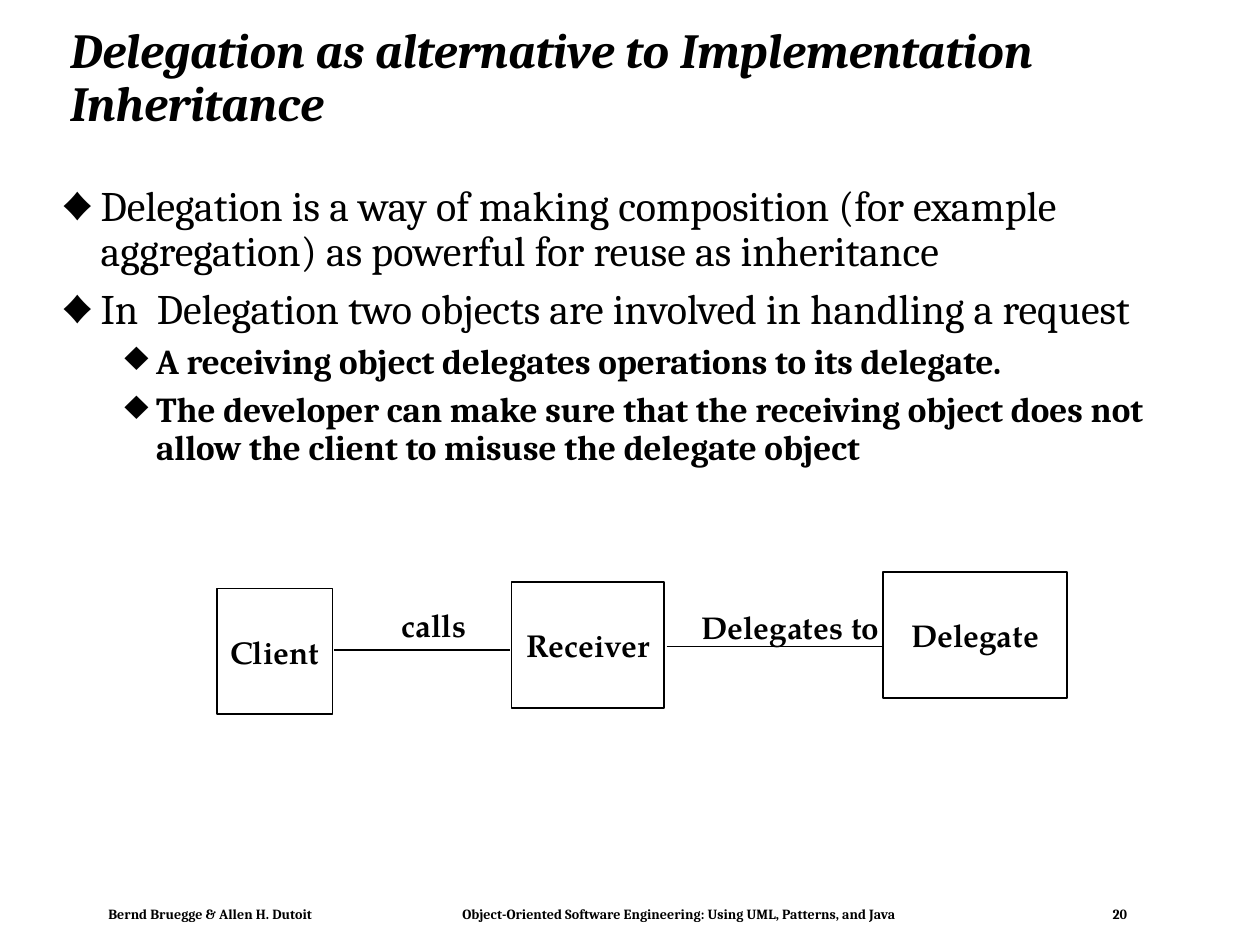
from lxml import etree
from pptx import Presentation
from pptx.dml.color import RGBColor
from pptx.enum import shapes, text
from pptx.oxml import ns
from pptx import util as u

BLACK = RGBColor(0, 0, 0)
WHITE = RGBColor(255, 255, 255)
SERIF = "Cambria"
DIAGRAM_FONT = "TeX Gyre Pagella"

presentation = Presentation()
presentation.slide_width = u.Inches(10)
presentation.slide_height = u.Inches(7.5)
slide = presentation.slides.add_slide(presentation.slide_layouts[6])


def place(*shares):
    """Turn percentages of the slide (x, y, x, y) into lengths."""
    sizes = (presentation.slide_width, presentation.slide_height)
    return [u.Emu(round(sizes[i % 2] * share / 100)) for i, share in enumerate(shares)]


def write(shape, lines, font, frame=None, paragraph_format=None):
    """Fill a shape with paragraphs and return them."""
    text_frame = shape.text_frame
    for name, value in (frame or {}).items():
        setattr(text_frame, name, value)
    text_frame.text = "\n".join(lines)
    for paragraph in text_frame.paragraphs:
        for name, value in (paragraph_format or {}).items():
            setattr(paragraph, name, value)
        for run in paragraph.runs:
            run.font.color.rgb = BLACK
            for name, value in font.items():
                setattr(run.font, name, value)
    return text_frame.paragraphs


# Footer: three entries held apart by tab stops
footer = slide.shapes.add_textbox(*place(7.8, 95.33, 82.7, 2.8))
footer_line = write(
    footer,
    ["Bernd Bruegge & Allen H. Dutoit\t"
     "Object-Oriented Software Engineering: Using UML, Patterns, and Java\t20"],
    {"name": SERIF, "size": u.Pt(8), "bold": True},
    {"word_wrap": True,
     "margin_left": u.Inches(0.08), "margin_right": u.Inches(0.08),
     "margin_top": u.Inches(0.04), "margin_bottom": u.Inches(0.04)},
)[0]
tab_list = etree.SubElement(footer_line._p.get_or_add_pPr(), ns.qn("a:tabLst"))
for stop in (28.1, 79.7):
    etree.SubElement(tab_list, ns.qn("a:tab"), pos=str(place(stop)[0]), algn="l")

# Diagram: objects, associations and their labels
diagram_font = {"name": DIAGRAM_FONT, "size": u.Pt(18), "bold": True}
for name, left, top, width in (
    ("Client", 17.2, 62.27, 9.2),
    ("Receiver", 40.6, 61.6, 12.1),
    ("Delegate", 70.1, 60.53, 14.6),
):
    box = slide.shapes.add_shape(
        shapes.MSO_SHAPE.RECTANGLE, *place(left, top, width, 13.33))
    box.shadow.inherit = False
    box.fill.solid()
    box.fill.fore_color.rgb = WHITE
    box.line.color.rgb = BLACK
    box.line.width = u.Pt(1)
    write(box, [name], diagram_font,
          {"word_wrap": False, "vertical_anchor": text.MSO_ANCHOR.MIDDLE},
          {"alignment": text.PP_ALIGN.CENTER})

for start, end, level in ((26.5, 40.5, 68.8), (52.9, 70.2, 68.4)):
    association = slide.shapes.add_connector(
        shapes.MSO_CONNECTOR.STRAIGHT, *place(start, level, end, level))
    association.line.color.rgb = BLACK
    association.line.width = u.Pt(1)
    etree.SubElement(association._element.spPr, ns.qn("a:effectLst"))

for label, left, top, width in (
    ("Delegates to ", 54.7, 63.73, 16.7),
    ("calls", 30.9, 63.47, 7.2),
):
    label_box = slide.shapes.add_textbox(*place(left, top, width, 5.33))
    write(label_box, [label], diagram_font, {"word_wrap": False})

# Title
title = slide.shapes.add_textbox(*place(4.6, 3.2, 89.2, 10.27))
write(title, ["Delegation as alternative to Implementation Inheritance"],
      {"name": SERIF, "size": u.Pt(28), "bold": True, "italic": True},
      {"word_wrap": True, "vertical_anchor": text.MSO_ANCHOR.MIDDLE},
      {"line_spacing": 0.9})

# Body: two bullet levels, told apart by the size of the diamond
levels = (
    {"size": 24, "bold": False, "font": SERIF, "scale": 75, "indent": 3.1, "hang": 3.1},
    {"size": 20, "bold": True, "font": None, "scale": 120, "indent": 7.5, "hang": 2.5},
)
points = (
    (0, "Delegation is a way of making composition (for example aggregation) "
        "as powerful for reuse as inheritance"),
    (0, "In  Delegation two objects are involved in handling a request"),
    (1, "A receiving object delegates operations to its delegate. "),
    (1, "The developer can make sure that the receiving object does not allow "
        "the client to misuse the delegate object"),
)
body = slide.shapes.add_textbox(*place(3.9, 18.93, 90.3, 71.73))
paragraphs = write(body, [point for _, point in points], {"name": SERIF},
                   {"word_wrap": True}, {"line_spacing": 0.9})
for paragraph, (depth, _) in zip(paragraphs, points):
    style = levels[depth]
    paragraph.level = depth
    paragraph.space_before = u.Pt(0.3 * style["size"])
    paragraph.runs[0].font.size = u.Pt(style["size"])
    paragraph.runs[0].font.bold = style["bold"]
    properties = paragraph._p.get_or_add_pPr()
    properties.set("marL", str(place(style["indent"])[0]))
    properties.set("indent", str(-place(style["hang"])[0]))
    bullet_color = etree.SubElement(properties, ns.qn("a:buClr"))
    etree.SubElement(bullet_color, ns.qn("a:srgbClr"), val=str(BLACK))
    etree.SubElement(properties, ns.qn("a:buSzPct"), val=str(style["scale"] * 1000))
    if style["font"]:
        etree.SubElement(properties, ns.qn("a:buFont"), typeface=style["font"])
    etree.SubElement(properties, ns.qn("a:buChar"), char="♦")

presentation.save("out.pptx")
